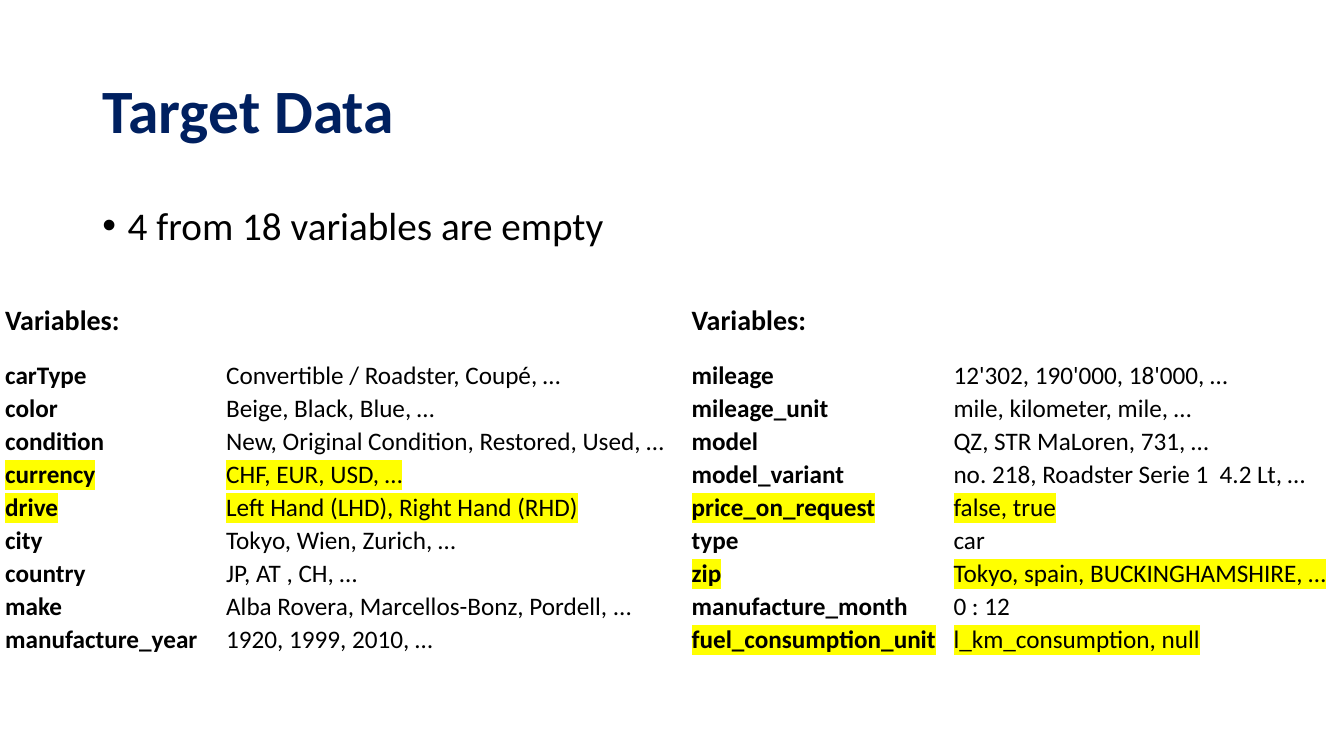
from lxml.etree import SubElement
from pptx import Presentation
from pptx.dml.color import RGBColor as Rgb
from pptx.enum.text import MSO_ANCHOR as Anchor, PP_ALIGN as Align
from pptx.oxml.ns import qn
from pptx.util import Cm, Pt

COLORS = {"title": "002060", "text": "000000", "highlight": "FFFF00"}
FONT = "Calibri"
TITLE_ONLY = 5
HEADER_HEIGHT, GAP_HEIGHT, ROW_HEIGHT = 0.91, 0.51, 0.83
TABLE_TOP = 7.62

# Each row: variable, example values, highlighted
LEFT_VARIABLES = [
    ("carType", "Convertible / Roadster, Coupé, …", False),
    ("color", "Beige, Black, Blue, …", False),
    ("condition", "New, Original Condition, Restored, Used, …", False),
    ("currency", "CHF, EUR, USD, …", True),
    ("drive", "Left Hand (LHD), Right Hand (RHD)", True),
    ("city", "Tokyo, Wien, Zurich, …", False),
    ("country", "JP, AT , CH, …", False),
    ("make", "Alba Rovera, Marcellos-Bonz, Pordell, ...", False),
    ("manufacture_year", "1920, 1999, 2010, …", False),
]
RIGHT_VARIABLES = [
    ("mileage", "12'302, 190'000, 18'000, …", False),
    ("mileage_unit", "mile, kilometer, mile, …", False),
    ("model", "QZ, STR MaLoren, 731, …", False),
    ("model_variant", "no. 218, Roadster Serie 1  4.2 Lt, …", False),
    ("price_on_request", "false, true", True),
    ("type", "car", False),
    ("zip", "Tokyo, spain, BUCKINGHAMSHIRE, …", True),
    ("manufacture_month", "0 : 12", False),
    ("fuel_consumption_unit", "l_km_consumption, null", True),
]


class SlideBuilder:
    """Holds the style and the current slide."""

    def __init__(self, presentation):
        """Add a title-only slide."""
        layout = presentation.slide_layouts[TITLE_ONLY]
        self.slide = presentation.slides.add_slide(layout)

    def add_text(self, paragraph, text, size, color="text", bold=False):
        """Put styled text into a paragraph and return its run."""
        run = paragraph.add_run()
        run.text = text
        paragraph.alignment = Align.LEFT
        font = paragraph.font
        font.name, font.size, font.bold = FONT, Pt(size), bold
        font.color.rgb = Rgb.from_string(COLORS[color])
        return run

    def title(self, text, left, top, width, height):
        """Place and format the title placeholder."""
        shape = self.slide.shapes.title
        shape.left, shape.top = Cm(left), Cm(top)
        shape.width, shape.height = Cm(width), Cm(height)
        shape.text_frame.vertical_anchor = Anchor.MIDDLE
        paragraph = shape.text_frame.paragraphs[0]
        paragraph.line_spacing = 0.9
        self.add_text(paragraph, text, 44, "title", True)

    def bullet(self, text, left, top, width, height):
        """Add a text box with one bulleted paragraph."""
        shape = self.slide.shapes.add_textbox(
            Cm(left), Cm(top), Cm(width), Cm(height))
        shape.text_frame.word_wrap = True
        paragraph = shape.text_frame.paragraphs[0]
        paragraph.line_spacing = 0.9
        paragraph.space_before = Pt(10)
        self.add_text(paragraph, text, 28)
        properties = paragraph._p.get_or_add_pPr()
        properties.set("marL", str(Cm(0.64)))
        properties.set("indent", str(Cm(-0.64)))
        bullet_font = properties.makeelement(qn("a:buFont"), {"typeface": "Arial"})
        bullet_char = properties.makeelement(qn("a:buChar"), {"char": "•"})
        defaults = properties.find(qn("a:defRPr"))
        defaults.addprevious(bullet_font)
        defaults.addprevious(bullet_char)

    def highlight(self, run):
        """Mark a run with the highlight colour."""
        marker = SubElement(run._r.get_or_add_rPr(), qn("a:highlight"))
        SubElement(marker, qn("a:srgbClr"), val=COLORS["highlight"])

    def variable_table(self, variables, left, column_widths):
        """Add a table of variables under a heading and a narrow gap row."""
        heights = [HEADER_HEIGHT, GAP_HEIGHT] + [ROW_HEIGHT] * len(variables)
        table = self.slide.shapes.add_table(
            len(heights), len(column_widths), Cm(left), Cm(TABLE_TOP),
            Cm(sum(column_widths)), Cm(sum(heights))).table
        table.first_row = table.horz_banding = False
        for column, width in zip(table.columns, column_widths):
            column.width = Cm(width)
        for row, height in zip(table.rows, heights):
            row.height = Cm(height)
        for cell in table.iter_cells():
            cell.fill.background()
            cell.vertical_anchor = Anchor.BOTTOM
            cell.margin_left = cell.margin_right = cell.margin_top = Cm(0.03)
            cell.margin_bottom = 0
        for column in range(len(column_widths)):
            gap = table.cell(1, column).text_frame.paragraphs[0]
            gap._p.get_or_add_endParaRPr().set("sz", "800")
        heading = table.cell(0, 0).text_frame.paragraphs[0]
        self.add_text(heading, "Variables:", 20, bold=True)
        for row, (name, values, marked) in enumerate(variables, start=2):
            for column, text in enumerate((name, values)):
                paragraph = table.cell(row, column).text_frame.paragraphs[0]
                run = self.add_text(paragraph, text, 18, bold=column == 0)
                if marked:
                    self.highlight(run)


def main():
    """Build the slide and save it."""
    presentation = Presentation()
    presentation.slide_width, presentation.slide_height = Cm(33.87), Cm(19.05)
    builder = SlideBuilder(presentation)
    builder.title("Target Data", 2.33, 1.01, 29.21, 3.68)
    builder.bullet("4 from 18 variables are empty", 2.33, 5.07, 29.21, 1.35)
    builder.variable_table(LEFT_VARIABLES, 0.1, (5.57, 11.25))
    builder.variable_table(RIGHT_VARIABLES, 17.4, (6.6, 9.77))
    presentation.save("out.pptx")


main()
